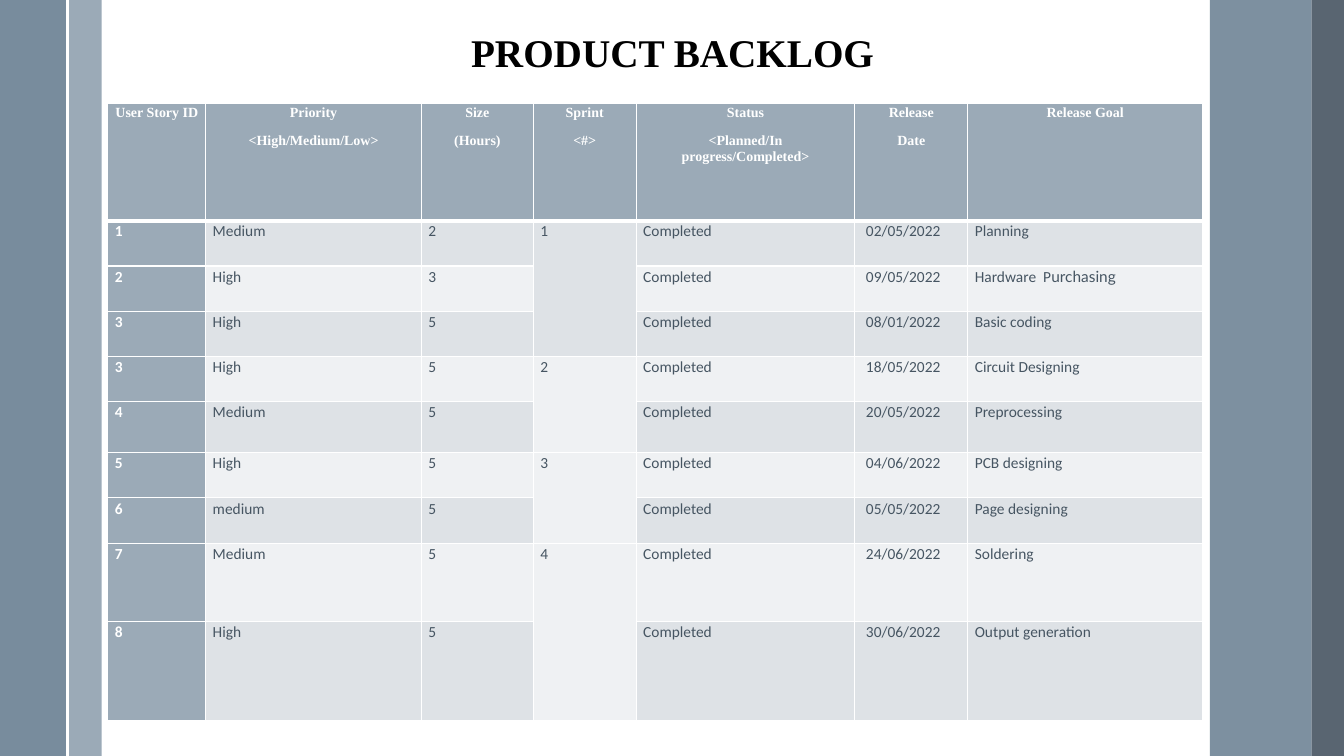
from lxml import etree
from pptx import Presentation
from pptx.dml.color import RGBColor
from pptx.enum.shapes import MSO_CONNECTOR, MSO_SHAPE
from pptx.enum.text import MSO_AUTO_SIZE, PP_ALIGN
from pptx.oxml.ns import qn
from pptx.util import Inches, Pt

RECTANGLE = MSO_SHAPE.RECTANGLE
STRAIGHT = MSO_CONNECTOR.STRAIGHT
LEFT, CENTER = PP_ALIGN.LEFT, PP_ALIGN.CENTER
GROW = MSO_AUTO_SIZE.SHAPE_TO_FIT_TEXT

TITLE = "PRODUCT BACKLOG"
HEADERS = [
    ["User Story ID"],
    ["Priority", "<High/Medium/Low>"],
    ["Size", "(Hours)"],
    ["Sprint", "<#>"],
    ["Status", "<Planned/In progress/Completed>"],
    ["Release", "Date"],
    ["Release Goal"],
]
# A goal given as a tuple holds (text, text in the accent font).
STORIES = [
    ("1", "Medium", "2", "1", "Completed", "02/05/2022", "Planning"),
    ("2", "High", "3", "", "Completed", "09/05/2022", ("Hardware  P", "urchasing")),
    ("3", "High", "5", "", "Completed", "08/01/2022", "Basic coding"),
    ("3", "High", "5", "2", "Completed", "18/05/2022", "Circuit Designing"),
    ("4", "Medium", "5", "", "Completed", "20/05/2022", "Preprocessing"),
    ("5", "High", "5", "3", "Completed", "04/06/2022", "PCB designing"),
    ("6", "medium", "5", "", "Completed", "05/05/2022", "Page designing"),
    ("7", "Medium", "5", "4", "Completed", "24/06/2022", "Soldering"),
    ("8", "High", "5", "", "Completed", "30/06/2022", "Output generation"),
]
ID_COLUMN, SPRINT_COLUMN, DATE_COLUMN = 0, 3, 5
COLUMN_WIDTHS = [0.97, 2.14, 1.11, 1.02, 2.17, 1.12, 2.33]
ROW_HEIGHTS = [1.16, 0.45, 0.45, 0.45, 0.44, 0.51, 0.45, 0.45, 0.78, 0.98]

THEME = {
    "white": "FFFFFF", "black": "000000", "text": "465562",
    "heading": "9BAAB7", "bands": ("DEE2E6", "EFF1F3"),
    "side": "6A8093", "edge": "475562",
    "heading_font": "Times New Roman", "body_font": "Calibri", "accent_font": "Lato",
    "title_size": 28, "header_size": 10, "body_size": 11,
}
# Side bars: left, width, colour, opacity in percent
BARS = [
    (0.68, 0.33, THEME["heading"], 100),
    (0, 0.67, THEME["side"], 90),
    (12, 1.01, THEME["side"], 87),
    (13.01, 0.33, THEME["edge"], 90),
]
SLIDE_WIDTH, SLIDE_HEIGHT = 13.33, 7.5


def write_text(frame, lines, *, size, color, font=THEME["body_font"], bold=False,
               align=LEFT, line_spacing=None, space_after=None):
    """Fill a text frame; a tuple line gets its second part in the accent font."""
    for index, line in enumerate(lines):
        paragraph = frame.paragraphs[0] if index == 0 else frame.add_paragraph()
        paragraph.alignment = align
        paragraph.line_spacing = line_spacing
        paragraph.space_after = space_after
        parts = line if isinstance(line, tuple) else (line,)
        for part, name in zip(parts, (font, THEME["accent_font"])):
            run = paragraph.add_run()
            run.text = part
            run.font.size = Pt(size)
            run.font.name = name
            run.font.bold = bold
            run.font.color.rgb = RGBColor.from_string(color)


def add_bar(slide, left, width, color, opacity):
    bar = slide.shapes.add_shape(RECTANGLE, Inches(left), 0, Inches(width), Inches(SLIDE_HEIGHT))
    bar.shadow.inherit = False
    bar.line.fill.background()
    bar.fill.solid()
    bar.fill.fore_color.rgb = RGBColor.from_string(color)
    if opacity < 100:
        color_element = bar.fill._xPr.find(".//" + qn("a:srgbClr"))
        etree.SubElement(color_element, qn("a:alpha"), val=str(opacity * 1000))


def add_divider(slide, left):
    line = slide.shapes.add_connector(STRAIGHT, Inches(left), 0, Inches(left), Inches(SLIDE_HEIGHT))
    line.line.color.rgb = RGBColor.from_string(THEME["white"])
    line.line.width = Pt(1.5)
    etree.SubElement(line._element.spPr, qn("a:effectLst"))


def set_borders(cell, **widths):
    """Draw white borders; widths are points for lnL, lnR, lnT and lnB."""
    properties = cell._tc.get_or_add_tcPr()
    for position, (side, width) in enumerate(widths.items()):
        border = etree.Element(qn("a:" + side), w=str(Pt(width)))
        fill = etree.SubElement(border, qn("a:solidFill"))
        etree.SubElement(fill, qn("a:srgbClr"), val=THEME["white"])
        properties.insert(position, border)


def format_cell(cell, row, column):
    is_heading = row == 0 or column == ID_COLUMN
    color = THEME["heading"] if is_heading else THEME["bands"][(row - 1) % 2]
    cell.fill.solid()
    cell.fill.fore_color.rgb = RGBColor.from_string(color)
    is_date = row > 0 and column == DATE_COLUMN
    cell.margin_left = Inches(0.11 if is_date else 0.07)
    cell.margin_right = Inches(0.07)
    cell.margin_top = cell.margin_bottom = 0
    set_borders(cell, lnL=1, lnR=1, lnT=3 if row == 1 else 1, lnB=3 if row == 0 else 1)


def add_backlog(slide):
    rows = [HEADERS] + [[[value] for value in story] for story in STORIES]
    table = slide.shapes.add_table(
        len(rows), len(HEADERS), Inches(1.07), Inches(1.03),
        Inches(sum(COLUMN_WIDTHS)), Inches(sum(ROW_HEIGHTS))).table
    table.first_row = True
    table.first_col = True
    table.horz_banding = False
    for column, width in zip(table.columns, COLUMN_WIDTHS):
        column.width = Inches(width)
    for row, height in zip(table.rows, ROW_HEIGHTS):
        row.height = Inches(height)

    header_style = {"size": THEME["header_size"], "font": THEME["heading_font"], "align": CENTER}
    body_style = {"size": THEME["body_size"]}
    for row, values in enumerate(rows):
        for column, lines in enumerate(values):
            cell = table.cell(row, column)
            format_cell(cell, row, column)
            if lines == [""]:
                continue
            is_heading = row == 0 or column == ID_COLUMN
            write_text(cell.text_frame, lines, bold=is_heading,
                       color=THEME["white"] if is_heading else THEME["text"],
                       line_spacing=1.07, space_after=Pt(8),
                       **(header_style if row == 0 else body_style))

    sprint_starts = [row for row, story in enumerate(STORIES, 1) if story[SPRINT_COLUMN]]
    for start, following in zip(sprint_starts, sprint_starts[1:] + [len(rows)]):
        table.cell(start, SPRINT_COLUMN).merge(table.cell(following - 1, SPRINT_COLUMN))


def main():
    presentation = Presentation()
    presentation.slide_width = Inches(SLIDE_WIDTH)
    presentation.slide_height = Inches(SLIDE_HEIGHT)
    slide = presentation.slides.add_slide(presentation.slide_layouts[6])
    for bar in BARS:
        add_bar(slide, *bar)
    add_divider(slide, 0.67)

    title = slide.shapes.add_textbox(Inches(3.81), Inches(0.23), Inches(5.72), Inches(0.57))
    title.text_frame.word_wrap = True
    title.text_frame.auto_size = GROW
    write_text(title.text_frame, [TITLE], size=THEME["title_size"], color=THEME["black"],
               font=THEME["heading_font"], bold=True, align=CENTER)
    add_backlog(slide)
    presentation.save("out.pptx")


if __name__ == "__main__":
    main()
